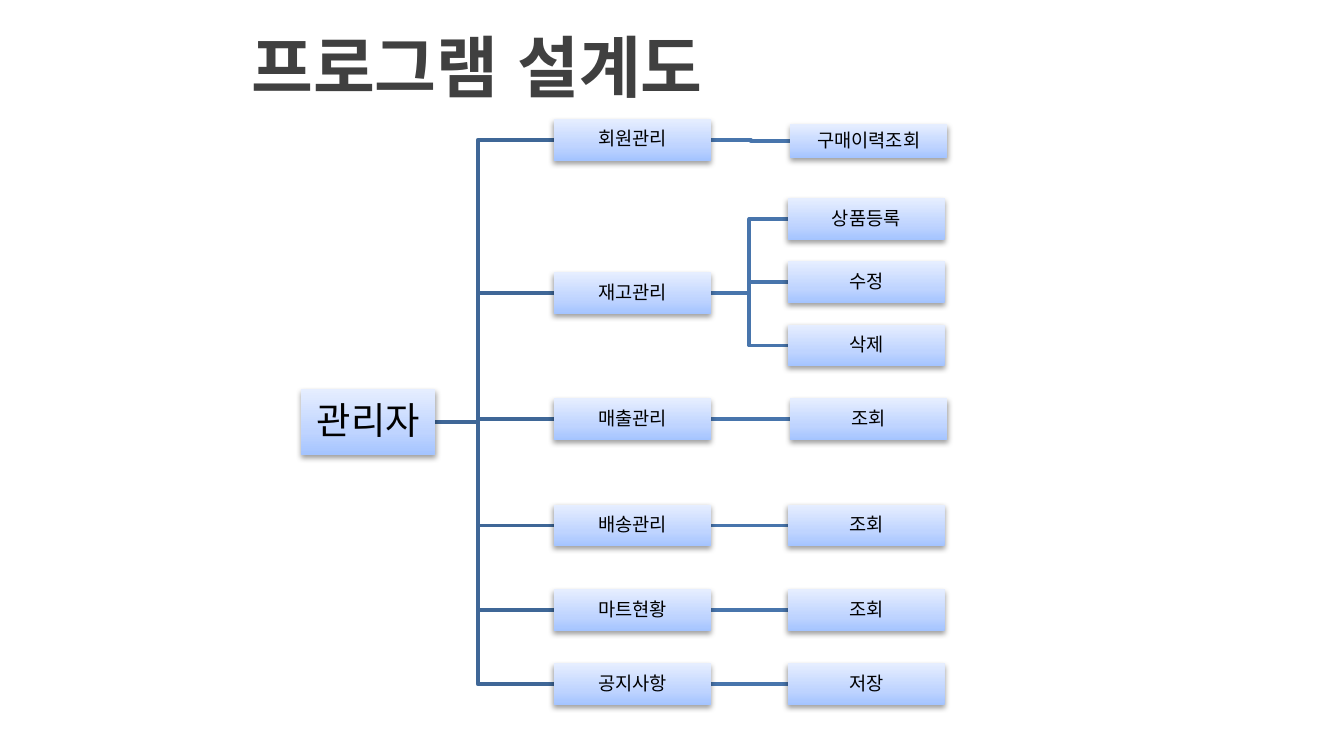
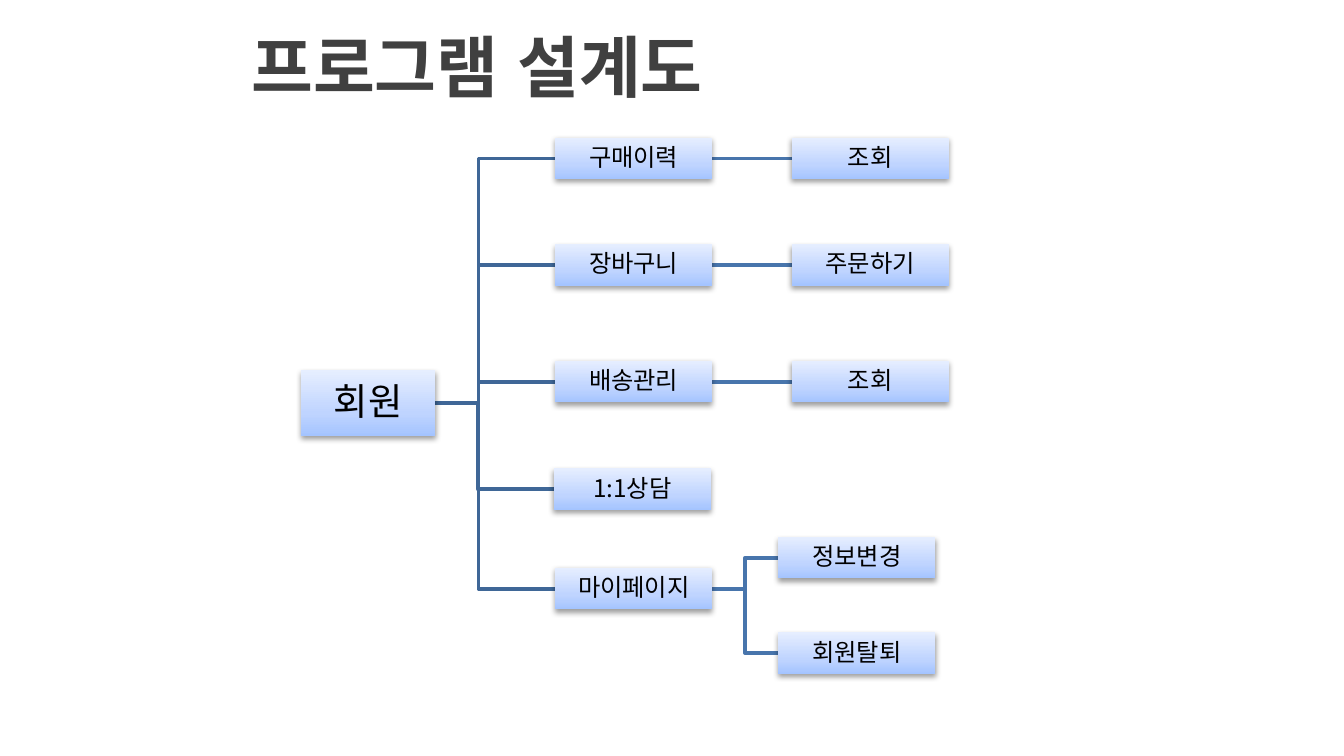
"""Build two program design trees, one for the manager and one for members."""
import pptx
import pptx.util
import pptx.dml.color
import pptx.enum.shapes
import pptx.enum.text
import pptx.oxml
import pptx.oxml.ns
from lxml import etree

Inches, Pt = pptx.util.Inches, pptx.util.Pt
RGBColor = pptx.dml.color.RGBColor

TITLE = "프로그램 설계도"
TREES = [
    {
        "root": ("관리자", 3.14), "size": 10,
        "nodes": [
            ("회원관리", 4.12, 1.04, 5.88, [("구매이력조회", 1.05, 0.25)]),
            ("재고관리", 4.12, 2.18, 5.86,
             [("상품등록", 1.63), ("수정", 2.1), ("삭제", 2.57)]),
            ("매출관리", 4.12, 3.12, 5.88, [("조회", 3.12)]),
            ("배송관리", 4.12, 3.91, 5.86, [("조회", 3.91)]),
            ("마트현황", 4.12, 4.54, 5.86, [("조회", 4.54)]),
            ("공지사항", 4.12, 5.09, 5.86, [("저장", 5.09)]),
        ],
    },
    {
        "root": ("회원", 3), "size": 13,
        "nodes": [
            ("구매이력", 4.13, 1.18, 5.89, [("조회", 1.18)]),
            ("장바구니", 4.13, 1.97, 5.89, [("주문하기", 1.97)]),
            ("배송관리", 4.13, 2.84, 5.89, [("조회", 2.84)]),
            ("1:1상담", 4.12, 3.64, 5.89, []),
            ("마이페이지", 4.13, 4.38, 5.79, [("정보변경", 4.15), ("회원탈퇴", 4.86)]),
        ],
    },
]

WIDE = 10
TALL = WIDE * 9 / 16
BOX_W, BOX_H = 1.17, 0.31
ROOT_X, ROOT_W, ROOT_H, ROOT_END = 2.24, 1, 0.49, 2.99
BLACK = RGBColor(0, 0, 0)
GREY = RGBColor(0x40, 0x40, 0x40)
TRUNK = RGBColor(0x3F, 0x67, 0x97)
TWIG = RGBColor(0x48, 0x75, 0xAC)
STOPS = [
    (0, RGBColor(0xA4, 0xC4, 0xFF)),
    (35, RGBColor(0xBF, 0xD4, 0xFF)),
    (100, RGBColor(0xE6, 0xEE, 0xFF)),
]
SANS = "Noto Sans CJK KR"
NS = pptx.oxml.ns.nsdecls("a")
GRAD = (
    f"<a:gradFill {NS} rotWithShape='1'><a:gsLst>"
    + "".join(f"<a:gs pos='{pos * 1000}'><a:srgbClr val='{tone}'/></a:gs>"
              for pos, tone in STOPS)
    + "</a:gsLst><a:lin ang='16200000' scaled='0'/></a:gradFill>"
)
SHADE = (
    f"<a:effectLst {NS}><a:outerShdw blurRad='{Pt(3.1)}' dist='{Pt(1.6)}'"
    " dir='5400000' rotWithShape='0'><a:srgbClr val='000000'>"
    "<a:alpha val='38000'/></a:srgbClr></a:outerShdw></a:effectLst>"
)


def write(par, text, size, face, tone, bold=False):
    run = par.add_run()
    run.text = text
    font = run.font
    font.size, font.name, font.bold = Pt(size), face, bold
    font.color.rgb = tone
    east = etree.SubElement(run._r.get_or_add_rPr(), pptx.oxml.ns.qn("a:ea"))
    east.set("typeface", face)


def add_box(slide, text, x, mid, size, wide=BOX_W, tall=BOX_H):
    box = slide.shapes.add_shape(
        pptx.enum.shapes.MSO_SHAPE.RECTANGLE,
        Inches(x), Inches(mid - tall / 2), Inches(wide), Inches(tall))
    props = box._element.spPr
    props.insert(2, pptx.oxml.parse_xml(GRAD))
    box.line.fill.background()
    props.append(pptx.oxml.parse_xml(SHADE))
    frame = box.text_frame
    frame.word_wrap = True
    frame.vertical_anchor = pptx.enum.text.MSO_ANCHOR.MIDDLE
    frame.margin_left = frame.margin_right = Inches(0.01)
    frame.margin_top = frame.margin_bottom = Inches(0.01)
    par = frame.paragraphs[0]
    par.alignment = pptx.enum.text.PP_ALIGN.CENTER
    par.line_spacing = 0.9
    par.space_after = Pt(size * 0.35)
    write(par, text, size, SANS, BLACK)
    return box


def add_link(slide, start, end, left, right, tone):
    (x1, y1), (x2, y2) = start, end
    if y1 == y2:
        link = slide.shapes.add_connector(
            pptx.enum.shapes.MSO_CONNECTOR.STRAIGHT,
            Inches(x1), Inches(y1), Inches(x2), Inches(y2))
        link.begin_connect(left, 3)
        link.end_connect(right, 1)
        etree.SubElement(link._element.spPr, pptx.oxml.ns.qn("a:effectLst"))
    else:
        turn = (x1 + x2) / 2
        path = slide.shapes.build_freeform(Inches(x1), Inches(y1))
        path.add_line_segments(
            [(Inches(x), Inches(y)) for x, y in [(turn, y1), (turn, y2), end]],
            close=False)
        link = path.convert_to_shape()
        link.fill.background()
        link.shadow.inherit = False
    link.line.color.rgb = tone
    link.line.width = Pt(2)
    slide.shapes._spTree.insert(3, link._element)


def add_title(slide):
    title = slide.shapes.title
    title.left, title.top = Inches(1.77), 0
    title.width, title.height = Inches(WIDE - 1.77), Inches(0.97)
    title.text_frame.vertical_anchor = pptx.enum.text.MSO_ANCHOR.MIDDLE
    par = title.text_frame.paragraphs[0]
    par.alignment = pptx.enum.text.PP_ALIGN.LEFT
    write(par, TITLE, 36, "Arial", GREY, True)


def add_tree(slide, tree):
    name, mid = tree["root"]
    size = tree["size"]
    root = add_box(slide, name, ROOT_X, mid, 20, ROOT_W, ROOT_H)
    for text, x, y, leaf_x, leaves in tree["nodes"]:
        node = add_box(slide, text, x, y, size)
        add_link(slide, (ROOT_END, mid), (x, y), root, node, TRUNK)
        for label, leaf_y, *tall in leaves:
            leaf = add_box(slide, label, leaf_x, leaf_y, size, BOX_W, *tall)
            add_link(slide, (x + BOX_W, y), (leaf_x, leaf_y), node, leaf, TWIG)


def main():
    deck = pptx.Presentation()
    deck.slide_width, deck.slide_height = Inches(WIDE), Inches(TALL)
    for tree in TREES:
        slide = deck.slides.add_slide(deck.slide_layouts[5])
        add_title(slide)
        add_tree(slide, tree)
    deck.save("out.pptx")


if __name__ == "__main__":
    main()
